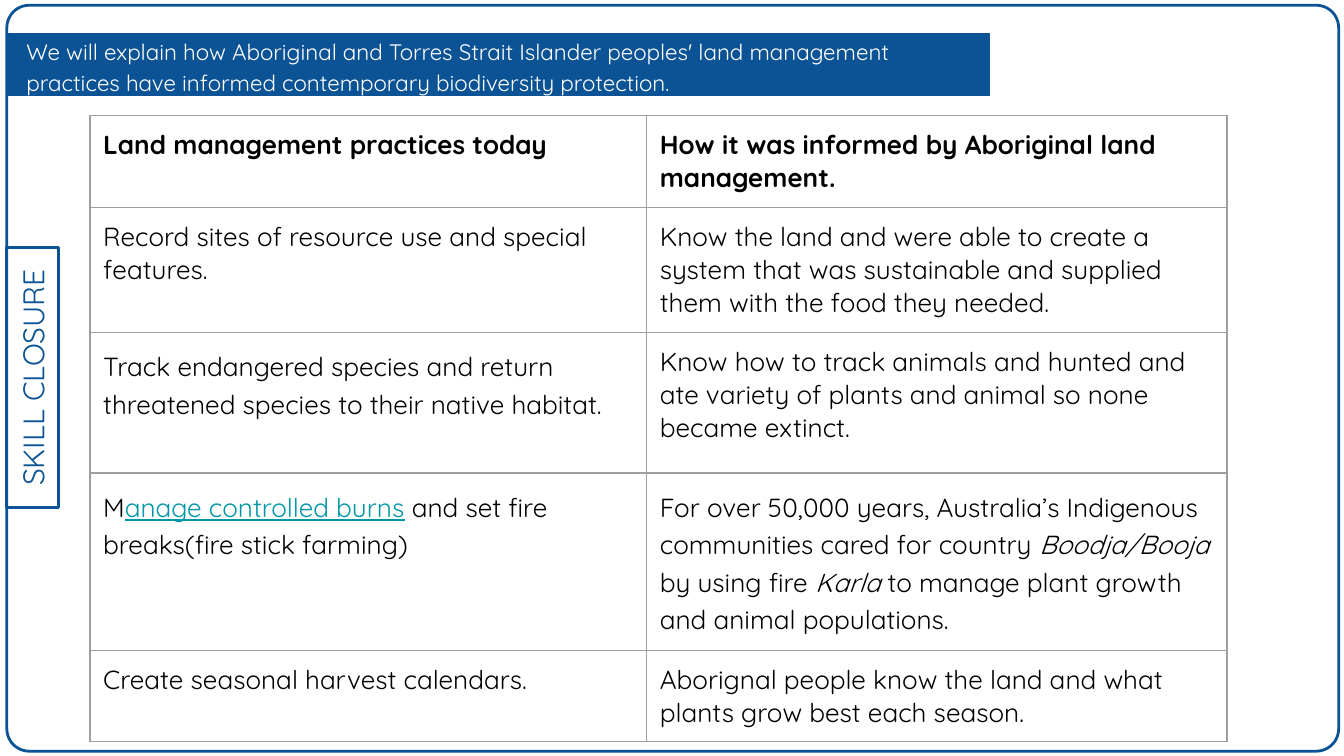
from dataclasses import dataclass
from typing import Optional

from lxml.etree import SubElement
from pptx import Presentation
from pptx.dml.color import RGBColor
from pptx.enum.shapes import MSO_SHAPE
from pptx.enum.text import MSO_ANCHOR, PP_ALIGN
from pptx.oxml.ns import qn
from pptx.util import Cm, Pt

BLUE, TEAL, GREY, BLACK, WHITE = "0B5394", "0097A7", "9E9E9E", "000000", "FFFFFF"
FONT = "Quicksand"
INSET = Cm(0.25)
LOOSE = 1.15


@dataclass
class Run:
    text: str
    color: str = BLACK
    italic: bool = False
    underline: bool = False


@dataclass
class Entry:
    runs: list[Run]
    spacing: Optional[float] = None


@dataclass
class Row:
    height: float
    today: Entry
    origin: Entry
    bold: bool = False


def plain(text: str, spacing: Optional[float] = None) -> Entry:
    return Entry([Run(text)], spacing)


COLUMN_WIDTHS = (10.52, 10.97)
ROWS = [
    Row(1.74, plain("Land management practices today"),
        plain("How it was informed by Aboriginal land management."), bold=True),
    Row(2.36, plain("Record sites of resource use and special features."),
        plain("Know the land and were able to create a system that was sustainable "
              "and supplied them with the food they needed.")),
    Row(2.66, plain("Track endangered species and return threatened species to their "
                    "native habitat.", LOOSE),
        plain("Know how to track animals and hunted and ate variety of plants and "
              "animal so none became extinct.")),
    Row(3.35, Entry([Run("M"), Run("anage controlled burns", TEAL, underline=True),
                     Run(" and set fire breaks(fire stick farming)")], LOOSE),
        Entry([Run("For over 50,000 years, Australia’s Indigenous communities cared "
                   "for country "),
               Run("Boodja/Booja ", italic=True), Run("by using fire "),
               Run("Karla ", italic=True),
               Run("to manage plant growth and animal populations.")], LOOSE)),
    Row(1.73, plain("Create seasonal harvest calendars."),
        plain("Aborignal people know the land and what plants grow best each season.")),
]


def rgb(value: str) -> RGBColor:
    return RGBColor.from_string(value)


def write(tf, runs: list[Run], *, size: float, bold: bool = False,
          align=PP_ALIGN.LEFT, spacing: Optional[float] = None,
          anchor=MSO_ANCHOR.TOP) -> None:
    tf.word_wrap = True
    tf.vertical_anchor = anchor
    p = tf.paragraphs[0]
    p.alignment = align
    if spacing:
        p.line_spacing = spacing
    for run in runs:
        r = p.add_run()
        r.text = run.text
        r.font.name, r.font.size, r.font.bold = FONT, Pt(size), bold
        r.font.italic, r.font.underline = run.italic, run.underline
        r.font.color.rgb = rgb(run.color)


def set_insets(tf) -> None:
    tf.margin_left = tf.margin_right = tf.margin_top = tf.margin_bottom = INSET


def add_box(s, kind, left: float, top: float, width: float, height: float,
            *, fill: Optional[str] = None, line_width: float = 1.5):
    sp = s.shapes.add_shape(kind, Cm(left), Cm(top), Cm(width), Cm(height))
    sp.shadow.inherit = False
    if fill:
        sp.fill.solid()
        sp.fill.fore_color.rgb = rgb(fill)
    else:
        sp.fill.background()
    sp.line.color.rgb = rgb(BLUE)
    sp.line.width = Pt(line_width)
    set_insets(sp.text_frame)
    return sp


def set_borders(cell, color: str, width: float) -> None:
    tc_pr = cell._tc.get_or_add_tcPr()
    for i, side in enumerate(("lnL", "lnR", "lnT", "lnB")):
        ln = SubElement(tc_pr, qn(f"a:{side}"), w=str(Pt(width)))
        SubElement(SubElement(ln, qn("a:solidFill")), qn("a:srgbClr"), val=color)
        tc_pr.insert(i, ln)


def add_practices_table(s, left: float, top: float) -> None:
    table = s.shapes.add_table(
        len(ROWS), len(COLUMN_WIDTHS), Cm(left), Cm(top), Cm(sum(COLUMN_WIDTHS)),
        Cm(sum(row.height for row in ROWS))).table
    table.first_row = table.horz_banding = False
    for column, width in zip(table.columns, COLUMN_WIDTHS):
        column.width = Cm(width)
    for i, row in enumerate(ROWS):
        table.rows[i].height = Cm(row.height)
        for j, entry in enumerate((row.today, row.origin)):
            cell = table.cell(i, j)
            set_insets(cell)
            cell.fill.background()
            set_borders(cell, GREY, 0.75)
            write(cell.text_frame, entry.runs, size=14, bold=row.bold,
                  spacing=entry.spacing)


def main() -> None:
    prs = Presentation()
    prs.slide_width, prs.slide_height = Cm(25.4), Cm(14.29)
    s = prs.slides.add_slide(prs.slide_layouts[6])

    frame = add_box(s, MSO_SHAPE.ROUNDED_RECTANGLE, 0.13, 0.1, 25.17, 14.1)
    frame.adjustments[0] = 0.03

    tab = add_box(s, MSO_SHAPE.RECTANGLE, -1.85, 6.65, 4.93, 0.97)
    tab.rotation = 270
    write(tab.text_frame, [Run("SKILL CLOSURE", BLUE)], size=16,
          align=PP_ALIGN.CENTER, anchor=MSO_ANCHOR.MIDDLE)

    add_box(s, MSO_SHAPE.RECTANGLE, 0.13, 0.64, 18.57, 1.17, fill=BLUE, line_width=0.75)
    goal = s.shapes.add_textbox(Cm(0.25), Cm(0.74), Cm(18.31), Cm(0.97)).text_frame
    set_insets(goal)
    write(goal, [Run("We will explain how Aboriginal and Torres Strait Islander peoples' "
                     "land management practices have informed contemporary "
                     "biodiversity protection.", WHITE)],
          size=12, spacing=LOOSE, anchor=MSO_ANCHOR.MIDDLE)

    add_practices_table(s, 1.7, 2.18)
    prs.save("out.pptx")


if __name__ == "__main__":
    main()
